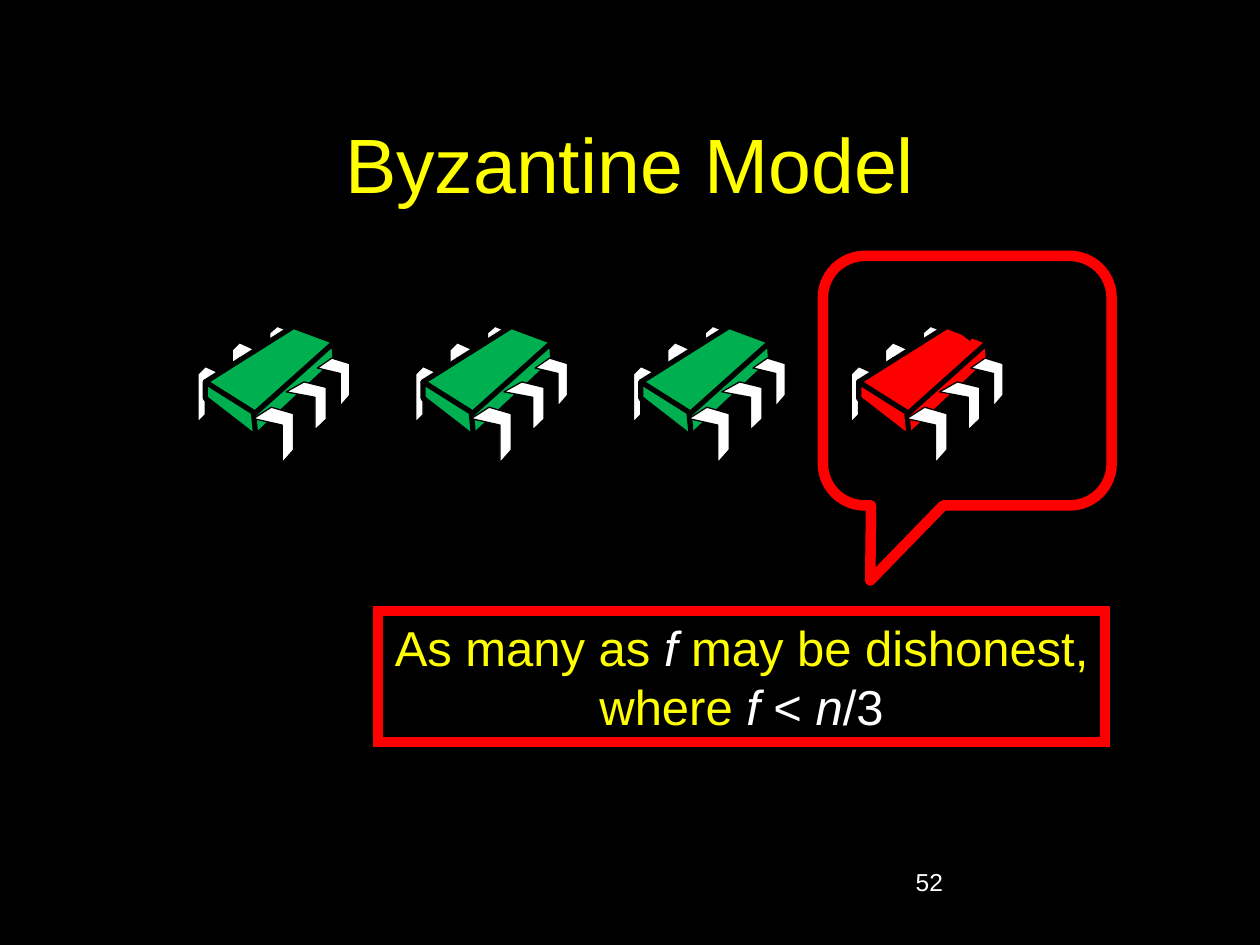
from lxml import etree
from pptx import Presentation
from pptx.dml.color import RGBColor
from pptx.enum.shapes import MSO_SHAPE
from pptx.enum.text import MSO_ANCHOR, PP_ALIGN
from pptx.oxml.ns import qn
from pptx.util import Cm, Pt

CALLOUT = MSO_SHAPE.ROUNDED_RECTANGULAR_CALLOUT
RECTANGLE = MSO_SHAPE.RECTANGLE
MIDDLE = MSO_ANCHOR.MIDDLE
LEFT, CENTER = PP_ALIGN.LEFT, PP_ALIGN.CENTER
UNIT = Cm(0.01)

COLORS = {
    "black": "000000",
    "white": "FFFFFF",
    "yellow": "FFFF00",
    "red": "FF0000",
    "green": "00B050",
}

REAR_LEAD = [(48, 15), (15, 0), (0, 15), (0, 112), (15, 97), (15, 30), (48, 48)]
FRONT_LEAD = [(36, 0), (0, 23), (58, 36), (58, 112), (81, 86), (81, 13)]
REAR_PLACES = [(0, 81, 1, 1), (69, 33, 1, 1), (145, 0, 1, 0.86)]
FRONT_PLACES = [(112, 163, 1, 1), (178, 112, 1, 0.87), (241, 64, 0.8, 0.87)]
BODY_FACES = [
    [(193, 0), (15, 112), (114, 180), (282, 33)],
    [(274, 33), (112, 178), (114, 224), (277, 71)],
    [(15, 112), (15, 145), (117, 224), (112, 173)],
]
ARROW_CURVES = [
    [(231, 23), (269, -28), (307, -79), (338, -76)],
    [(338, -76), (371, -74), (447, 43), (419, 43)],
    [(419, 43), (391, 41), (173, -84), (173, -84)],
]


def color(name):
    """Return the named colour."""
    return RGBColor.from_string(COLORS[name])


def paint(shape, fill, line, width):
    """Set the fill and outline of a shape and remove its shadow."""
    shape.shadow.inherit = False
    if fill:
        shape.fill.solid()
        shape.fill.fore_color.rgb = color(fill)
    else:
        shape.fill.background()
    shape.line.color.rgb = color(line)
    shape.line.width = Pt(width)


def write(shape, lines, size, align):
    """Write lines of (text, colour, italic) spans into a shape."""
    frame = shape.text_frame
    for index, spans in enumerate(lines):
        para = frame.paragraphs[0] if index == 0 else frame.add_paragraph()
        para.alignment = align
        for text, name, italic in spans:
            span = para.add_run()
            span.text = text
            values = {"name": "Arial", "size": Pt(size), "italic": italic}
            for key, value in values.items():
                setattr(span.font, key, value)
            span.font.color.rgb = color(name)


def add_label(page, box, text, name, size, align):
    """Add a one-line text box."""
    label = page.shapes.add_textbox(*box)
    label.text_frame.word_wrap = True
    write(label, [[(text, name, False)]], size, align)
    return label


def add_outline(group, origin, points, close=True):
    """Draw an outline through points given in hundredths of a centimetre."""
    builder = group.shapes.build_freeform(*points[0], scale=UNIT)
    builder.add_line_segments(points[1:], close=close)
    return builder.convert_to_shape(*origin)


def add_leads(group, origin, lead, places):
    """Draw a row of chip leads, each shifted and scaled to its place."""
    for left, top, wide, high in places:
        points = [(left + x * wide, top + y * high) for x, y in lead]
        paint(add_outline(group, origin, points), "white", "black", 0.75)


def add_chip(page, origin, body):
    """Draw a chip with six leads around a coloured body."""
    group = page.shapes.add_group_shape()
    add_leads(group, origin, REAR_LEAD, REAR_PLACES)
    for face in BODY_FACES:
        paint(add_outline(group, origin, face), body, "black", 3)
    add_leads(group, origin, FRONT_LEAD, FRONT_PLACES)
    return group


def bezier(start, first, second, end, step):
    """Return the point of a cubic curve at a step from 0 to 1."""
    rest = 1 - step
    weights = (rest ** 3, 3 * rest ** 2 * step, 3 * rest * step ** 2, step ** 3)
    return tuple(
        sum(weight * value for weight, value in zip(weights, axis))
        for axis in zip(start, first, second, end)
    )


def add_arrow(group, origin):
    """Draw the curved arrow that crosses the corner of a chip."""
    points = [bezier(*curve, step / 10) for curve in ARROW_CURVES for step in range(11)]
    arrow = add_outline(group, origin, points, close=False)
    paint(arrow, None, "black", 6)
    etree.SubElement(arrow.line._get_or_add_ln(), qn("a:tailEnd"), type="triangle")


def add_chip_row(page, left, top, step, bodies):
    """Place the chips at equal steps and the arrow on the last one."""
    for index, body in enumerate(bodies):
        origin = (left + index * step, top)
        group = add_chip(page, origin, body)
    add_arrow(group, origin)


def add_callout(page, box):
    """Add the speech bubble around the dishonest chip."""
    callout = page.shapes.add_shape(CALLOUT, *box)
    for index, value in enumerate((-0.336, 0.801, 0.167)):
        callout.adjustments[index] = value
    paint(callout, None, "red", 6)


def add_caption(page, box):
    """Add the framed statement below the chips."""
    caption = page.shapes.add_shape(RECTANGLE, *box)
    paint(caption, "black", "red", 6)
    etree.SubElement(caption.line._get_or_add_ln(), qn("a:miter"), lim="800000")
    caption.text_frame.word_wrap = False
    lines = [
        [("As many as ", "yellow", False), ("f", "white", True),
         (" may be dishonest,", "yellow", False)],
        [("where ", "yellow", False), ("f", "white", True), (" < ", "white", False),
         ("n", "white", True), ("/3", "white", False)],
    ]
    write(caption, lines, 28, CENTER)


def build_slide(deck):
    """Build the Byzantine model slide."""
    page = deck.slides.add_slide(deck.slide_layouts[6])
    page.background.fill.solid()
    page.background.fill.fore_color.rgb = color("black")
    title_box = (Cm(1.9), Cm(1.7), Cm(21.6), Cm(3.18))
    title = add_label(page, title_box, "Byzantine Model", "yellow", 44, CENTER)
    title.text_frame.vertical_anchor = MIDDLE
    number_box = (Cm(18.21), Cm(17.35), Cm(5.28), Cm(1.27))
    add_label(page, number_box, "52", "white", 14, LEFT)
    add_callout(page, (Cm(16.59), Cm(5.16), Cm(5.82), Cm(5.03)))
    add_caption(page, (Cm(7.62), Cm(12.32), Cm(14.66), Cm(2.64)))
    add_chip_row(page, Cm(3.99), Cm(6.58), Cm(4.39), ["green"] * 3 + ["red"])


def main():
    """Create the deck and save it."""
    deck = Presentation()
    deck.slide_width, deck.slide_height = Cm(25.4), Cm(19.05)
    build_slide(deck)
    deck.save("out.pptx")


if __name__ == "__main__":
    main()
